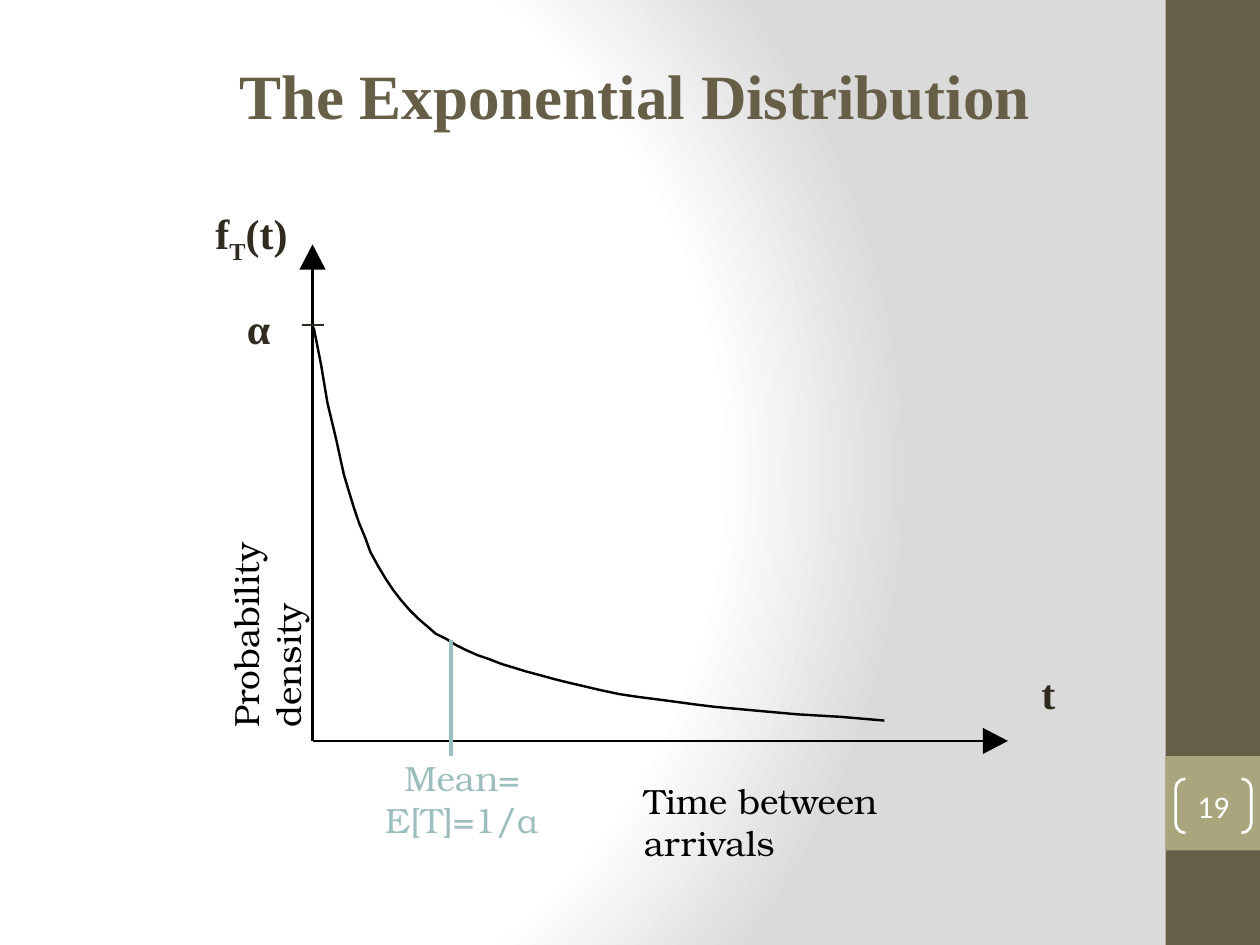
from lxml import etree
from pptx import Presentation
from pptx.dml.color import RGBColor
from pptx.enum import shapes, text
from pptx.oxml import parse_xml
from pptx.oxml.ns import nsdecls, qn
from pptx.util import Pt

COLORS = {"brown": "675E47", "olive": "A9A57C", "dark": "2F2B20", "teal": "9CBEBD",
          "black": "000000", "white": "FFFFFF", "gray": "DADADA"}
SERIF, LABEL, SANS = "Times New Roman", "TeX Gyre Bonum", "Calibri"
AXIS_W = 1.38
ORIGIN = (178.6, 423.4)
CURVE = [
    (179.3, 187.2), (183.6, 208.8), (187.2, 230.4), (192.2, 251.3), (194.4, 261.4),
    (196.6, 271.4), (199.4, 280.8), (202.3, 290.2), (205.2, 298.8), (208.8, 307.4),
    (211.7, 315.4), (216, 323.3), (220.3, 330.5), (224.6, 337), (229, 342.7),
    (234, 348.5), (239, 353.5), (244.1, 357.8), (249.1, 362.2), (254.9, 365),
    (260.6, 368.6), (266.4, 371.5), (272.9, 374.4), (279.4, 376.6), (286.6, 379.4),
    (293.8, 381.6), (301, 383.8), (308.9, 385.9), (316.8, 388.1), (325.4, 390.2),
    (334.8, 392.4), (344.2, 394.6), (354.2, 396.7), (364.3, 398.2), (375.1, 399.6),
    (385.9, 401), (396.7, 402.5), (408.2, 403.9), (432, 406.1), (455.8, 408.2),
    (481, 409.7), (505.4, 411.8)]


def rgb(name):
    return RGBColor.from_string(COLORS[name])


def set_background(s):
    """Radial gradient, white in the left half and gray at the far edge."""
    s.background.fill.solid()
    stops = "".join(f'<a:gs pos="{pos}000"><a:srgbClr val="{COLORS[c]}"/></a:gs>'
                    for pos, c in ((0, "white"), (75, "white"), (100, "gray")))
    grad = parse_xml(
        f'<a:gradFill {nsdecls("a")} rotWithShape="1"><a:gsLst>{stops}</a:gsLst>'
        '<a:path path="circle"><a:fillToRect l="20000" t="50000" r="100000" b="50000"/>'
        '</a:path></a:gradFill>')
    solid = s.element.find(".//" + qn("p:bgPr")).find(qn("a:solidFill"))
    solid.getparent().replace(solid, grad)


def write(sp, lines, font=SERIF, size=24, color="dark", bold=False, align="LEFT",
          anchor="TOP", margins=(0, 0)):
    """Fill a shape with lines; a line is a string or a list of (text, baseline) runs."""
    tf = sp.text_frame
    tf.word_wrap = True
    tf.auto_size = text.MSO_AUTO_SIZE.NONE
    tf.vertical_anchor = getattr(text.MSO_ANCHOR, anchor)
    tf.margin_left = tf.margin_right = Pt(margins[0])
    tf.margin_top = tf.margin_bottom = Pt(margins[1])
    for i, line in enumerate(lines):
        p = tf.add_paragraph() if i else tf.paragraphs[0]
        p.alignment = getattr(text.PP_ALIGN, align)
        for words, baseline in [(line, 0)] if isinstance(line, str) else line:
            r = p.add_run()
            r.text = words
            r.font.name, r.font.size, r.font.bold = font, Pt(size), bold
            r.font.color.rgb = rgb(color)
            if baseline:
                r.font._element.set("baseline", str(baseline * 1000))


def add_text(s, box, lines, rotation=0, **fmt):
    sp = s.shapes.add_textbox(*map(Pt, box))
    sp.rotation = rotation
    write(sp, lines, **fmt)


def add_title(s, box, words, **fmt):
    sp = s.shapes.title
    sp.left, sp.top, sp.width, sp.height = map(Pt, box)
    write(sp, [words], **fmt)


def paint(sp, fill=None, line=None, width=AXIS_W):
    sp.shadow.inherit = False
    if fill:
        sp.fill.solid()
        sp.fill.fore_color.rgb = rgb(fill)
    else:
        sp.fill.background()
    if line:
        sp.line.color.rgb = rgb(line)
        sp.line.width = Pt(width)
    else:
        sp.line.fill.background()


def add_preset(s, kind, box, **style):
    sp = s.shapes.add_shape(getattr(shapes.MSO_SHAPE, kind), *map(Pt, box))
    paint(sp, **style)
    return sp


def add_line(s, start, end, color="black", width=AXIS_W):
    c = s.shapes.add_connector(shapes.MSO_CONNECTOR.STRAIGHT, *map(Pt, start + end))
    c.line.color.rgb = rgb(color)
    c.line.width = Pt(width)
    etree.SubElement(c._element.spPr, qn("a:effectLst"))


def add_outline(s, points, close=False, **style):
    first, *rest = [(Pt(x), Pt(y)) for x, y in points]
    builder = s.shapes.build_freeform(*first)
    builder.add_line_segments(rest, close=close)
    paint(builder.convert_to_shape(), **style)


def add_axes(s):
    x0, y0 = ORIGIN
    x_end, y_end, length, half = 576, 139.7, 14.4, 7.5
    add_line(s, ORIGIN, (x0, y_end + length - 0.7))
    add_outline(s, [(x0 + half, y_end + length), (x0, y_end), (x0 - half, y_end + length)],
                close=True, fill="black")
    add_line(s, ORIGIN, (x_end - length, y0))
    add_outline(s, [(x_end - length, y0 + half), (x_end, y0), (x_end - length, y0 - half)],
                close=True, fill="black")


def add_sidebar(s):
    add_preset(s, "RECTANGLE", (666, 0, 54, 540), fill="brown")
    add_preset(s, "RECTANGLE", (666, 432, 54, 54), fill="olive")
    number = add_preset(s, "DOUBLE_BRACKET", (671.8, 445, 43.2, 31), line="white", width=1.5)
    number.adjustments[0] = 0.179
    write(number, ["19"], font=SANS, size=18, color="white", align="CENTER", anchor="MIDDLE")


def main():
    prs = Presentation()
    prs.slide_width, prs.slide_height = Pt(720), Pt(540)
    s = prs.slides.add_slide(prs.slide_layouts[5])
    set_background(s)
    add_sidebar(s)
    add_title(s, (23.8, 18, 678, 72), "The Exponential Distribution", size=36, color="brown",
              bold=True, align="CENTER", anchor="MIDDLE", margins=(7.2, 3.6))

    add_axes(s)
    add_outline(s, CURVE, line="black")
    add_line(s, (172.8, 185.8), (185, 185.8), color="dark", width=0.75)
    add_line(s, (257.8, 365.8), (257.8, 432), color="teal", width=2)

    caption = {"font": LABEL, "size": 20, "color": "black"}
    add_text(s, (367.9, 445.7, 213.8, 24), ["Time between arrivals"], **caption)
    add_text(s, (49, 312.5, 182.2, 24), ["Probability density"], rotation=270, **caption)
    add_text(s, (216, 432, 96, 48), ["Mean=", "E[T]=1/α"],
             **{**caption, "color": "teal", "align": "CENTER"})

    symbol = {"bold": True, "margins": (7.2, 3.6)}
    add_text(s, (588, 378, 54, 36), ["t"], **symbol)
    add_text(s, (116, 115.2, 60, 36), [[("f", 0), ("T", -25), ("(t)", 0)]], **symbol)
    add_text(s, (134, 169.2, 36, 36), ["α"], **symbol)
    prs.save("out.pptx")


if __name__ == "__main__":
    main()
